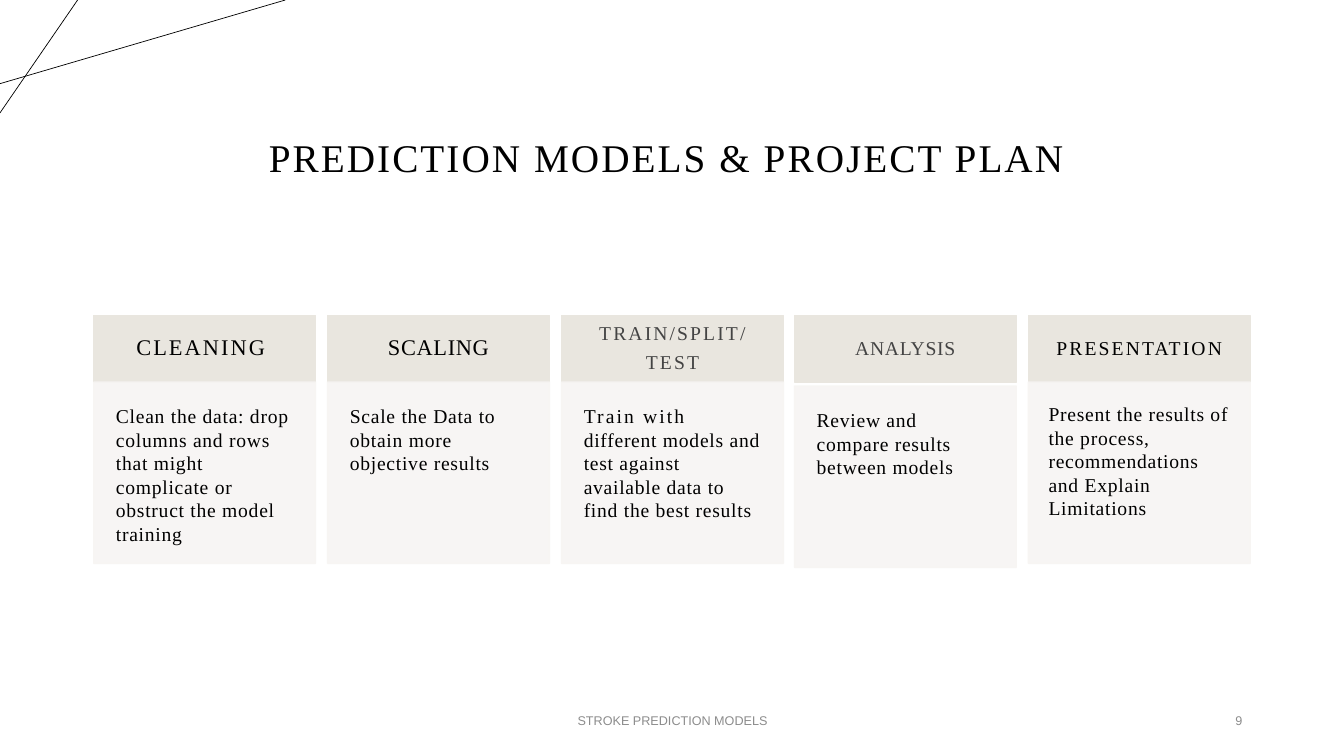
from dataclasses import dataclass

from lxml.etree import SubElement
from pptx import Presentation
from pptx.dml.color import RGBColor
from pptx.enum.shapes import MSO_CONNECTOR, MSO_SHAPE
from pptx.enum.text import MSO_ANCHOR, MSO_AUTO_SIZE, PP_ALIGN
from pptx.oxml.ns import qn
from pptx.util import Emu, Pt

EMU_PER_PX = 9144  # 100 px to the inch


@dataclass(frozen=True)
class Theme:
    serif: str = "Times New Roman"
    sans: str = "Arial"
    ink: str = "000000"
    soft_ink: str = "444444"
    footer_ink: str = "8C8C8C"
    header_fill: str = "E9E6DF"
    body_fill: str = "F7F5F3"
    title_size: int = 28
    large_size: int = 16
    text_size: int = 14
    footer_size: int = 9
    wide: float = 1.5
    narrow: float = 0.5


@dataclass(frozen=True)
class Step:
    heading: str
    body: tuple  # (text, letter spacing) pairs
    size: int = Theme.text_size
    color: str = Theme.ink
    spacing: float = Theme.wide
    body_top: int = 379
    body_inset: int = 22


THEME = Theme()
STEPS = [
    Step("CLEANING ", (("Clean the data: drop columns and rows that might complicate or "
                        "obstruct the model training", THEME.narrow),), THEME.large_size),
    Step("SCALING", (("Scale the Data to obtain more objective results", THEME.narrow),),
         THEME.large_size, spacing=THEME.narrow),
    Step("TRAIN/SPLIT/\nTEST",
         (("Train with ", THEME.wide),
          ("different models and test against available data to find the best results",
           THEME.narrow)), color=THEME.soft_ink),
    Step("ANALYSIS", (("Review and compare results between models", THEME.narrow),),
         color=THEME.soft_ink, spacing=THEME.narrow, body_top=383),
    Step("PRESENTATION", (("Present the results of the process, recommendations and "
                           "Explain Limitations", THEME.narrow),), body_inset=20),
]
CARD_LEFT, CARD_STEP, CARD_WIDTH = 93, 231.75, 220
HEADER_TOP, HEADER_HEIGHT, BODY_HEIGHT = 313, 66, 180


def px(length):
    return Emu(length * EMU_PER_PX)


def format_run(run, size, color, font=THEME.serif, spacing=0):
    run.font.name = font
    run.font.size = Pt(size)
    run.font.color.rgb = RGBColor.from_string(color)
    if spacing:
        run._r.get_or_add_rPr().set("spc", str(int(spacing * 100)))


def set_frame(text_frame, anchor, inset=None):
    text_frame.word_wrap = True
    text_frame.auto_size = MSO_AUTO_SIZE.NONE
    text_frame.vertical_anchor = anchor
    if inset is not None:
        for side in ("left", "top", "right", "bottom"):
            setattr(text_frame, f"margin_{side}", px(inset))


def add_line(slide, start, end):
    line = slide.shapes.add_connector(MSO_CONNECTOR.STRAIGHT, *map(px, start + end))
    line.line.color.rgb = RGBColor.from_string(THEME.ink)
    line.line.width = Pt(0.5)
    SubElement(line._element.spPr, qn("a:effectLst"))


def add_panel(slide, box, color, opacity=100):
    panel = slide.shapes.add_shape(MSO_SHAPE.RECTANGLE, *map(px, box))
    panel.shadow.inherit = False
    panel.fill.solid()
    panel.fill.fore_color.rgb = RGBColor.from_string(color)
    panel.line.color.rgb = RGBColor.from_string(color)
    panel.line.width = Pt(1)
    if opacity < 100:
        for color_element in panel._element.spPr.iter(qn("a:srgbClr")):
            SubElement(color_element, qn("a:alpha"), val=str(opacity * 1000))
    return panel


def add_card(slide, left, step):
    header = add_panel(slide, (left, HEADER_TOP, CARD_WIDTH, HEADER_HEIGHT), THEME.header_fill)
    set_frame(header.text_frame, MSO_ANCHOR.MIDDLE, 17)
    header.text_frame.text = step.heading
    for paragraph in header.text_frame.paragraphs:
        paragraph.alignment = PP_ALIGN.CENTER
        paragraph.line_spacing = 0.9
        paragraph.space_after = Pt(5.5)
        format_run(paragraph.runs[0], step.size, step.color, spacing=step.spacing)

    body = add_panel(slide, (left, step.body_top, CARD_WIDTH, BODY_HEIGHT), THEME.body_fill, 90)
    set_frame(body.text_frame, MSO_ANCHOR.TOP, step.body_inset)
    paragraph = body.text_frame.paragraphs[0]
    paragraph.alignment = PP_ALIGN.LEFT
    for text, spacing in step.body:
        run = paragraph.add_run()
        run.text = text
        format_run(run, THEME.text_size, THEME.ink, spacing=spacing)


def add_title(slide, text):
    title = slide.shapes.title
    title.left, title.top, title.width, title.height = map(px, (92, 86, 1150, 145))
    set_frame(title.text_frame, MSO_ANCHOR.MIDDLE)
    title.text_frame.text = text
    paragraph = title.text_frame.paragraphs[0]
    paragraph.alignment = PP_ALIGN.CENTER
    paragraph.line_spacing = 0.9
    format_run(paragraph.runs[0], THEME.title_size, THEME.ink, spacing=THEME.wide)


def add_footer(slide, left, width, text, alignment):
    footer = slide.shapes.add_textbox(*map(px, (left, 695, width, 40)))
    set_frame(footer.text_frame, MSO_ANCHOR.MIDDLE)
    footer.text_frame.text = text
    paragraph = footer.text_frame.paragraphs[0]
    paragraph.alignment = alignment
    format_run(paragraph.runs[0], THEME.footer_size, THEME.footer_ink, THEME.sans)


def main():
    presentation = Presentation()
    presentation.slide_width, presentation.slide_height = px(1333), px(750)
    slide = presentation.slides.add_slide(presentation.slide_layouts[5])
    add_line(slide, (0, 83), (283, 0))
    add_line(slide, (77, 0), (0, 112))
    add_title(slide, "PREDICTION MODELS & PROJECT PLAN ")
    for index, step in enumerate(STEPS):
        add_card(slide, CARD_LEFT + round(index * CARD_STEP), step)
    add_footer(slide, 442, 450, "STROKE PREDICTION MODELS", PP_ALIGN.CENTER)
    add_footer(slide, 942, 300, "9", PP_ALIGN.RIGHT)
    presentation.save("out.pptx")


if __name__ == "__main__":
    main()
